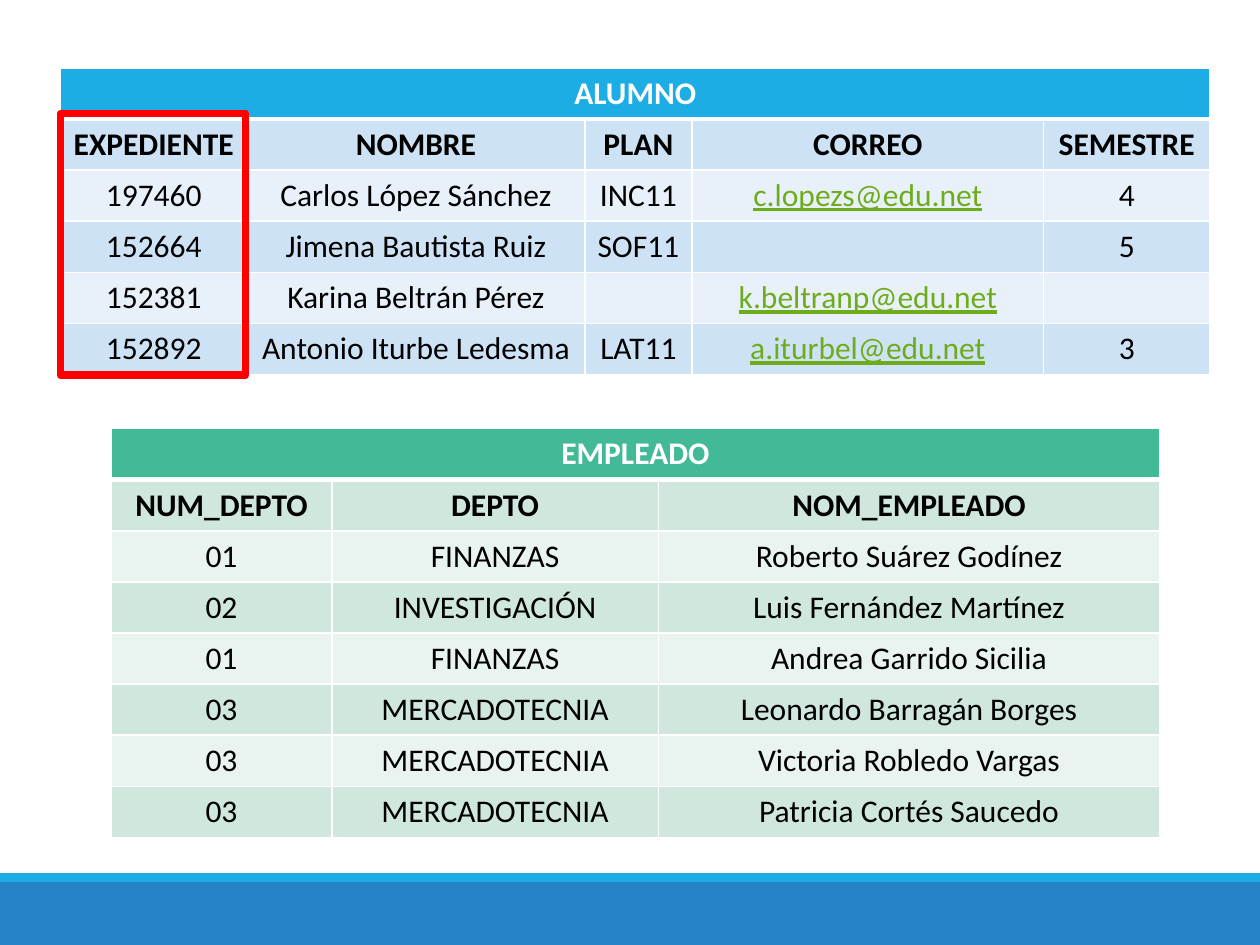
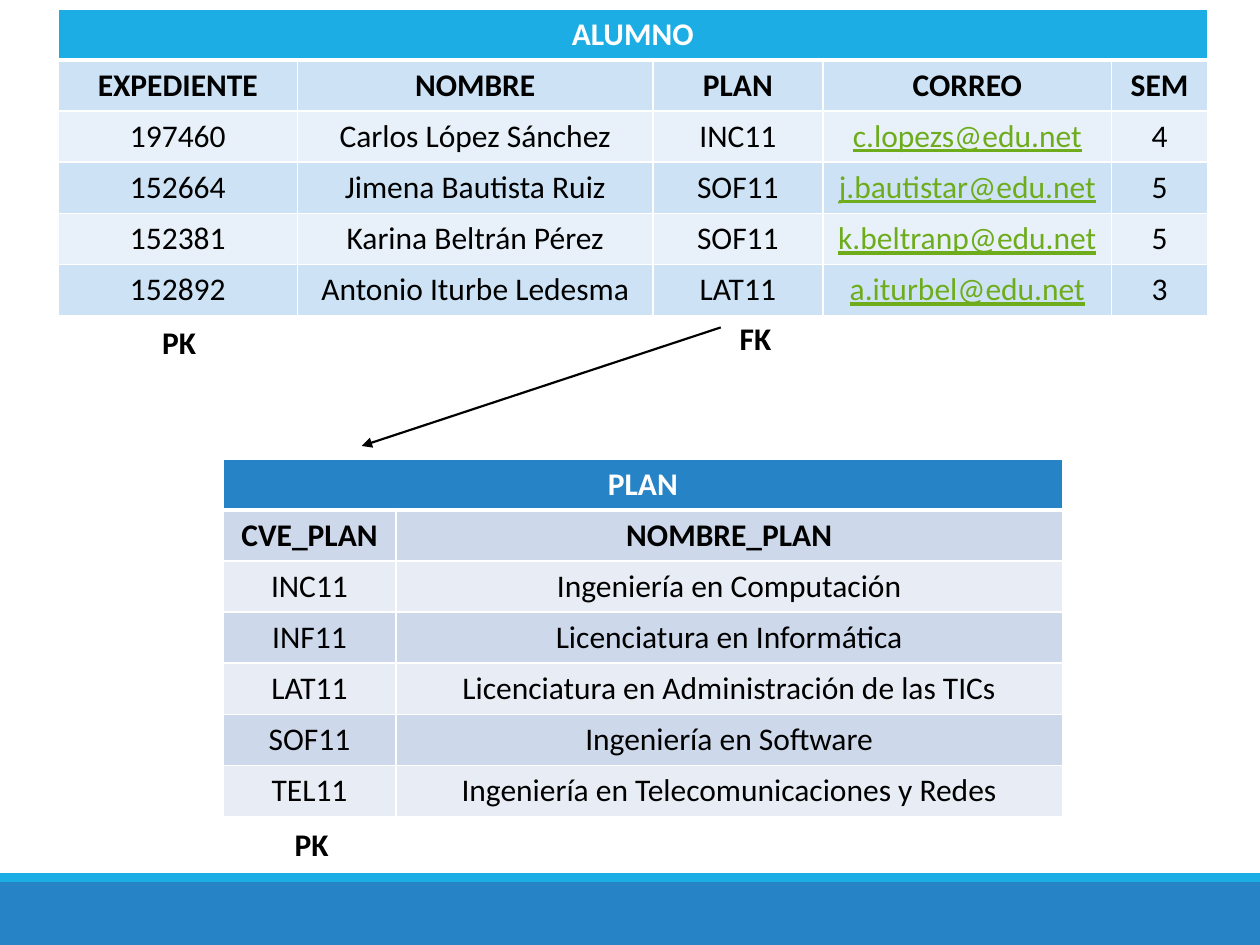
import pptx
import pptx.dml.color
import pptx.enum.shapes
import pptx.enum.text
import pptx.oxml
import pptx.oxml.ns
import pptx.util
from pptx.util import Cm

FONT = "Calibri"
BLACK, WHITE, RED, LINK = "000000", "FFFFFF", "FF0000", "6EAC1C"
SKY, BLUE, GREEN = "1CADE4", "2683C6", "42BA97"
SKY_ROWS = ("CDE3F5", "E8F1FA")
GREEN_ROWS = ("CFE7DD", "E9F3EF")
BLUE_ROWS = ("CDD9EA", "E8EDF5")
PAGE_WIDTH, PAGE_HEIGHT = 25.4, 19.05
ROW_HEIGHT = 1.03
CENTER = pptx.enum.text.PP_ALIGN.CENTER
RECTANGLE = pptx.enum.shapes.MSO_SHAPE.RECTANGLE


def color(value):
    """Return the colour for a hex string."""
    return pptx.dml.color.RGBColor.from_string(value)


def write(frame, text, *, size=18, ink=BLACK, bold=False, underline=False, align=None):
    """Write one formatted line into a text frame."""
    para = frame.paragraphs[0]
    para.alignment = align
    span = para.add_run()
    span.text = text
    span.font.name = FONT
    span.font.size = pptx.util.Pt(size)
    span.font.bold = bold
    span.font.underline = underline
    span.font.color.rgb = color(ink)


def add_rectangle(page, left, top, width, height, fill=None, line=None, weight=1):
    """Add a rectangle with an optional fill and outline."""
    box = page.shapes.add_shape(RECTANGLE, Cm(left), Cm(top), Cm(width), Cm(height))
    box.shadow.inherit = False
    if fill:
        box.fill.solid()
        box.fill.fore_color.rgb = color(fill)
    else:
        box.fill.background()
    if line:
        box.line.color.rgb = color(line)
        box.line.width = pptx.util.Pt(weight)
    else:
        box.line.fill.background()
    return box


def add_footer_bands(deck, page):
    """Place the two footer bands on the slide master."""
    bands = ((17.78, 1.27, BLUE), (17.6, 0.18, SKY))
    for number, (top, height, fill) in enumerate(bands, start=101):
        band = add_rectangle(page, 0, top, PAGE_WIDTH, height, fill=fill)
        band.element.nvSpPr.cNvPr.set("id", str(number))
        deck.slide_master.shapes.element.append(band.element)


def set_borders(cell, top, bottom):
    """Give a cell white borders with the given top and bottom weights."""
    properties = cell._tc.get_or_add_tcPr()
    for side, weight in (("L", 1), ("R", 1), ("T", top), ("B", bottom)):
        properties.append(pptx.oxml.parse_xml(
            f'<a:ln{side} {pptx.oxml.ns.nsdecls("a")} w="{pptx.util.Pt(weight)}">'
            f'<a:solidFill><a:srgbClr val="{WHITE}"/></a:solidFill></a:ln{side}>'))


def add_relation(page, left, top, widths, title, rows, title_fill, row_fills):
    """Add a database table: merged title, column names and striped records."""
    count = len(rows) + 1
    table = page.shapes.add_table(
        count, len(widths), Cm(left), Cm(top), Cm(sum(widths)), Cm(count * ROW_HEIGHT)).table
    table.first_row = table.horz_banding = False
    for column, width in zip(table.columns, widths):
        column.width = Cm(width)
    for row in table.rows:
        row.height = Cm(ROW_HEIGHT)
    title_row = [title] + [""] * (len(widths) - 1)
    for r, values in enumerate([title_row, *rows]):
        for c, text in enumerate(values):
            cell = table.cell(r, c)
            set_borders(cell, top=3 if r == 1 else 1, bottom=3 if r == 0 else 1)
            cell.fill.solid()
            cell.fill.fore_color.rgb = color(row_fills[(r - 1) % 2] if r else title_fill)
            if text:
                is_mail = "@" in text
                ink = WHITE if r == 0 else LINK if is_mail else BLACK
                write(cell.text_frame, text, ink=ink, bold=r < 2, underline=is_mail, align=CENTER)
    table.cell(0, 0).merge(table.cell(0, len(widths) - 1))


def add_key_label(page, left, top, text):
    """Add a bold key label."""
    box = page.shapes.add_textbox(Cm(left), Cm(top), Cm(1.22), Cm(1.02))
    box.text_frame.word_wrap = False
    box.text_frame.auto_size = pptx.enum.text.MSO_AUTO_SIZE.SHAPE_TO_FIT_TEXT
    write(box.text_frame, text, bold=True)


def add_arrow(page, start, end):
    """Draw a thin black arrow from start to end."""
    arrow = page.shapes.add_connector(
        pptx.enum.shapes.MSO_CONNECTOR.STRAIGHT, *map(Cm, start + end))
    arrow.line.color.rgb = color(BLACK)
    arrow.line.width = pptx.util.Pt(1.25)
    arrow.line._get_or_add_ln().append(pptx.oxml.parse_xml(
        f'<a:tailEnd {pptx.oxml.ns.nsdecls("a")} type="triangle"/>'))
    arrow.element.spPr.append(pptx.oxml.parse_xml(
        f'<a:effectLst {pptx.oxml.ns.nsdecls("a")}/>'))


def build_primary_key_page(page):
    """Show students and employees, with the student key outlined."""
    students = [
        ("EXPEDIENTE", "NOMBRE", "PLAN", "CORREO", "SEMESTRE"),
        ("197460", "Carlos López Sánchez", "INC11", "c.lopezs@edu.net", "4"),
        ("152664", "Jimena Bautista Ruiz", "SOF11", "", "5"),
        ("152381", "Karina Beltrán Pérez", "", "k.beltranp@edu.net", ""),
        ("152892", "Antonio Iturbe Ledesma", "LAT11", "a.iturbel@edu.net", "3"),
    ]
    employees = [
        ("NUM_DEPTO", "DEPTO", "NOM_EMPLEADO"),
        ("01", "FINANZAS", "Roberto Suárez Godínez"),
        ("02", "INVESTIGACIÓN", "Luis Fernández Martínez"),
        ("01", "FINANZAS", "Andrea Garrido Sicilia"),
        ("03", "MERCADOTECNIA", "Leonardo Barragán Borges"),
        ("03", "MERCADOTECNIA", "Victoria Robledo Vargas"),
        ("03", "MERCADOTECNIA", "Patricia Cortés Saucedo"),
    ]
    add_relation(page, 1.22, 1.37, (3.76, 6.81, 2.16, 7.09, 3.35),
                 "ALUMNO", students, SKY, SKY_ROWS)
    add_relation(page, 2.24, 8.64, (4.45, 6.58, 10.11),
                 "EMPLEADO", employees, GREEN, GREEN_ROWS)
    add_rectangle(page, 1.22, 2.29, 3.73, 5.28, line=RED, weight=4.5)


def build_foreign_key_page(page):
    """Show how the plan of a student refers to the table of plans."""
    students = [
        ("EXPEDIENTE", "NOMBRE", "PLAN", "CORREO", "SEM"),
        ("197460", "Carlos López Sánchez", "INC11", "c.lopezs@edu.net", "4"),
        ("152664", "Jimena Bautista Ruiz", "SOF11", "j.bautistar@edu.net", "5"),
        ("152381", "Karina Beltrán Pérez", "SOF11", "k.beltranp@edu.net", "5"),
        ("152892", "Antonio Iturbe Ledesma", "LAT11", "a.iturbel@edu.net", "3"),
    ]
    plans = [
        ("CVE_PLAN", "NOMBRE_PLAN"),
        ("INC11", "Ingeniería en Computación"),
        ("INF11", "Licenciatura en Informática"),
        ("LAT11", "Licenciatura en Administración de las TICs"),
        ("SOF11", "Ingeniería en Software"),
        ("TEL11", "Ingeniería en Telecomunicaciones y Redes"),
    ]
    add_relation(page, 1.17, 0.18, (4.83, 7.16, 3.43, 5.82, 1.93),
                 "ALUMNO", students, SKY, SKY_ROWS)
    add_relation(page, 4.5, 9.25, (3.48, 13.44), "PLAN", plans, BLUE, BLUE_ROWS)
    for left, top, text in ((5.69, 16.51, "PK"), (14.66, 6.3, "FK"), (3.02, 6.38, "PK")):
        add_key_label(page, left, top, text)
    add_arrow(page, (14.53, 6.6), (7.29, 8.99))


def main():
    """Build and save the deck."""
    deck = pptx.Presentation()
    deck.slide_width, deck.slide_height = Cm(PAGE_WIDTH), Cm(PAGE_HEIGHT)
    blank = deck.slide_layouts[6]
    pages = [deck.slides.add_slide(blank) for _ in range(2)]
    add_footer_bands(deck, pages[0])
    build_primary_key_page(pages[0])
    build_foreign_key_page(pages[1])
    deck.save("out.pptx")


if __name__ == "__main__":
    main()
